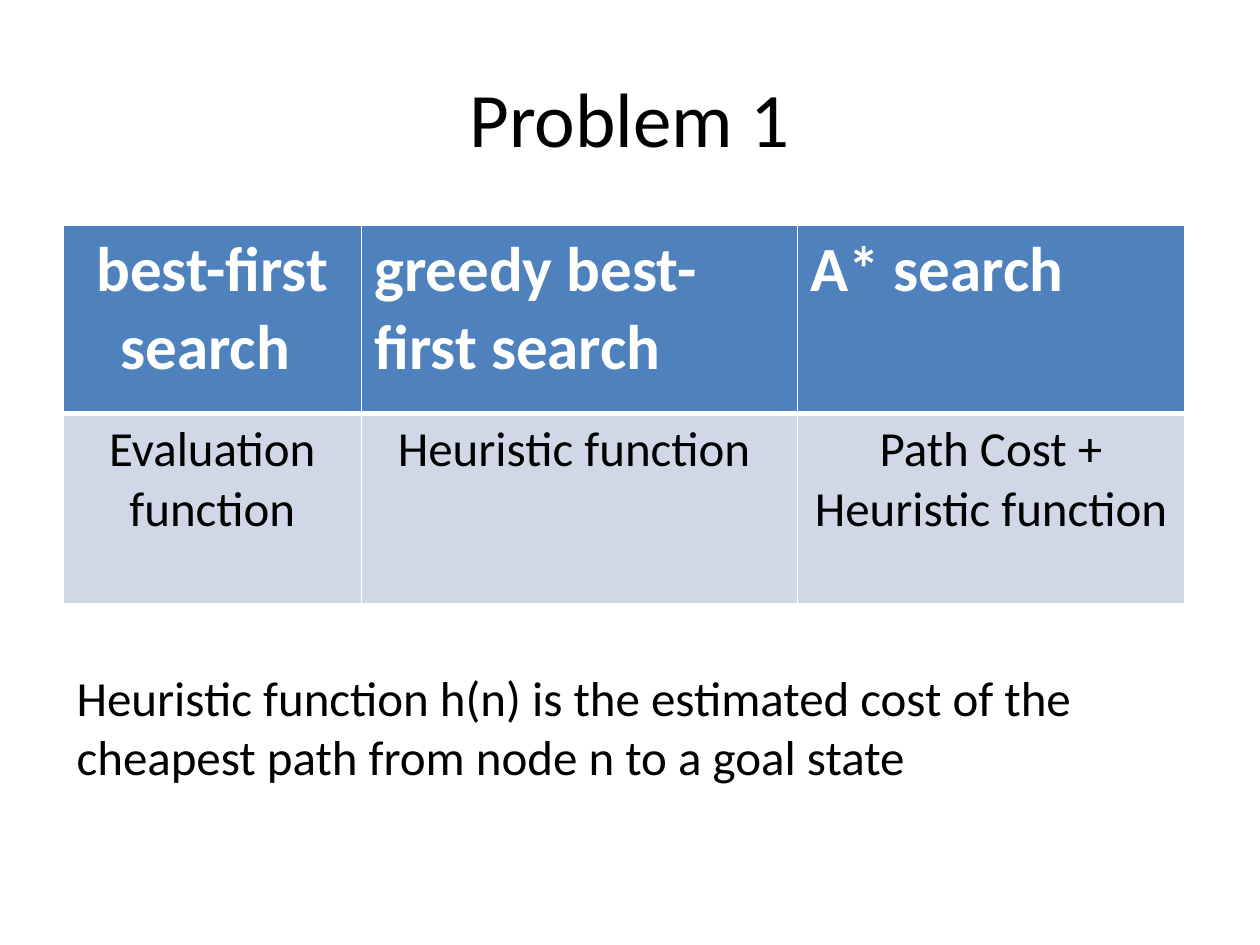
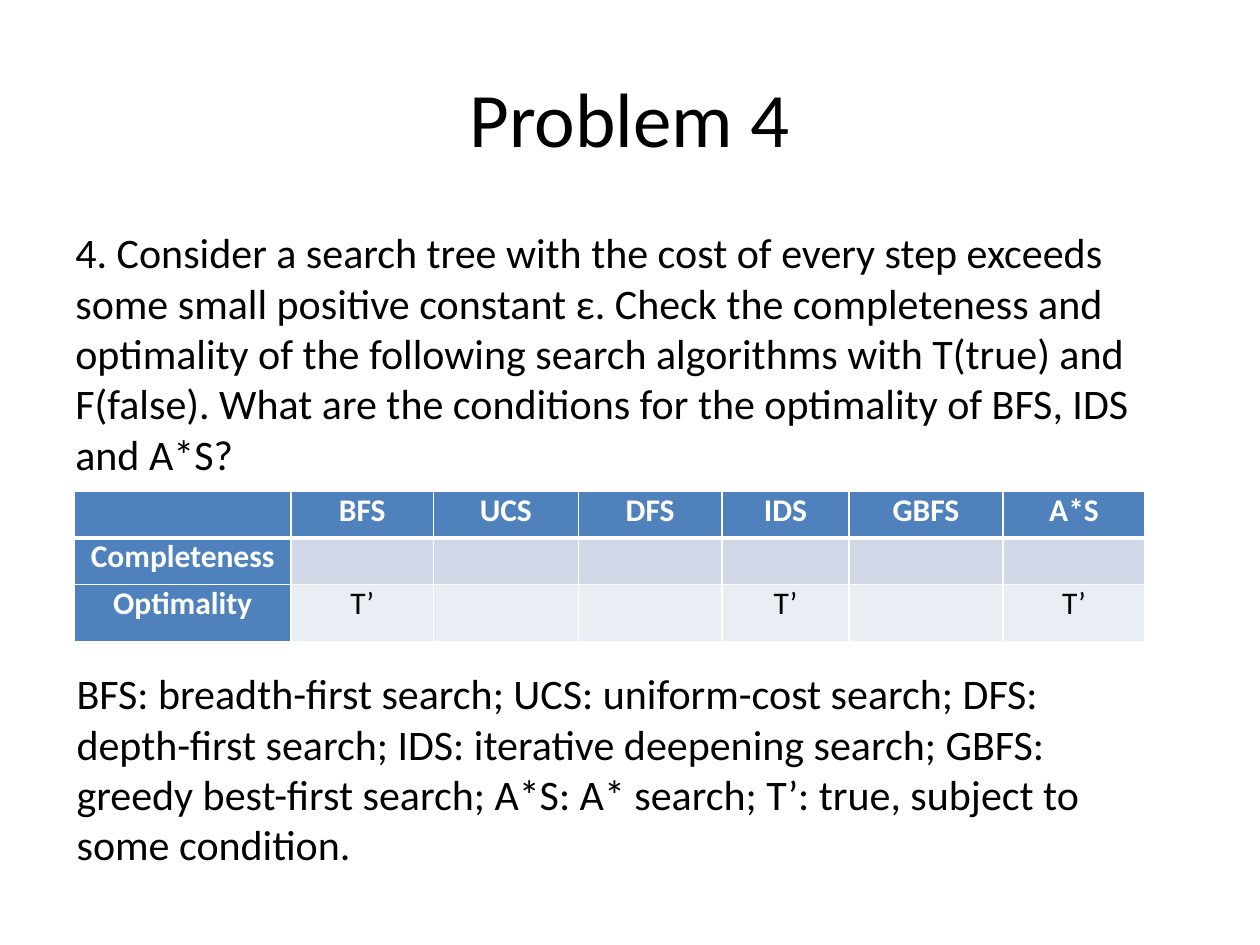
from dataclasses import dataclass

from lxml import etree
from pptx import Presentation
from pptx.dml.color import RGBColor
from pptx.enum import text as t
from pptx.oxml import ns
from pptx.util import Inches, Pt

FONT = "Calibri"
COLORS = {"ink": "000000", "white": "FFFFFF", "header": "4F81BD",
          "band1": "D0D8E8", "band2": "E9EDF4"}
LEFT, CENTER = t.PP_ALIGN.LEFT, t.PP_ALIGN.CENTER


@dataclass
class TextBlock:
    text: str
    left: float
    top: float
    width: float
    height: float
    size: int
    align: t.PP_ALIGN = LEFT
    anchor: t.MSO_ANCHOR = t.MSO_ANCHOR.TOP


@dataclass
class Grid:
    left: float
    top: float
    cols: list[float]
    rows: list[float]
    cells: list[list[str]]
    header_size: int
    body_size: int
    left_aligned: tuple = ()  # (row, column) pairs
    header_column: bool = False
    margins: tuple = (0.1, 0.05)  # sides, top and bottom
    space_before: int = 0


def rgb(name: str) -> RGBColor:
    return RGBColor.from_string(COLORS[name])


def write(tf, text: str, size: int, color: str = "ink", bold: bool = False,
          align: t.PP_ALIGN = LEFT, space_before: int = 0) -> None:
    p = tf.paragraphs[0]
    p.alignment = align
    if space_before:
        p.space_before = Pt(space_before)
    r = p.add_run()
    r.text = text
    for name, value in {"name": FONT, "size": Pt(size), "bold": bold}.items():
        setattr(r.font, name, value)
    r.font.color.rgb = rgb(color)


def add_text(slide, block: TextBlock) -> None:
    box = slide.shapes.add_textbox(*map(Inches, (block.left, block.top, block.width, block.height)))
    tf = box.text_frame
    tf.word_wrap = True
    tf.vertical_anchor = block.anchor
    write(tf, block.text, block.size, align=block.align)


def add_title(slide, text: str) -> None:
    add_text(slide, TextBlock(text, 0.5, 0.3, 9, 1.25, 44, CENTER, t.MSO_ANCHOR.MIDDLE))


def add_borders(cell, top: int, bottom: int) -> None:
    tc_pr = cell._tc.get_or_add_tcPr()
    for side, width in {"L": 1, "R": 1, "T": top, "B": bottom}.items():
        ln = etree.SubElement(tc_pr, ns.qn(f"a:ln{side}"), w=str(Pt(width)))
        fill = etree.SubElement(ln, ns.qn("a:solidFill"))
        etree.SubElement(fill, ns.qn("a:srgbClr"), val=COLORS["white"])


def add_grid(slide, grid: Grid) -> None:
    frame = slide.shapes.add_table(
        len(grid.rows), len(grid.cols), Inches(grid.left), Inches(grid.top),
        Inches(sum(grid.cols)), Inches(sum(grid.rows)))
    table = frame.table
    for column, width in zip(table.columns, grid.cols):
        column.width = Inches(width)
    for row, height in zip(table.rows, grid.rows):
        row.height = Inches(height)

    side, edge = map(Inches, grid.margins)
    margins = {"margin_left": side, "margin_right": side,
               "margin_top": edge, "margin_bottom": edge}
    for i, texts in enumerate(grid.cells):
        for j, text in enumerate(texts):
            cell = table.cell(i, j)
            for name, value in margins.items():
                setattr(cell, name, value)
            # A thick rule separates the header row from the body
            add_borders(cell, top=3 if i == 1 else 1, bottom=3 if i == 0 else 1)
            header = i == 0 or (grid.header_column and j == 0)
            cell.fill.solid()
            cell.fill.fore_color.rgb = rgb("header" if header else "band1" if i % 2 else "band2")
            if text:
                write(cell.text_frame, text,
                      grid.header_size if header else grid.body_size,
                      "white" if header else "ink", header,
                      LEFT if (i, j) in grid.left_aligned else CENTER, grid.space_before)


def add_search_functions(prs) -> None:
    slide = prs.slides.add_slide(prs.slide_layouts[6])
    add_title(slide, "Problem 1")
    add_grid(slide, Grid(
        0.5, 1.79, [2.37, 3.46, 3.07], [1.49, 1.51],
        [["best-first search ", "greedy best-first search", "A* search"],
         ["Evaluation function", "Heuristic function ", "Path Cost + Heuristic function "]],
        header_size=36, body_size=28, left_aligned=((0, 1), (0, 2))))
    add_text(slide, TextBlock(
        "Heuristic function h(n) is the estimated cost of the cheapest path "
        "from node n to a goal state", 0.51, 5.25, 8.91, 1.04, 28))


def add_search_properties(prs) -> None:
    slide = prs.slides.add_slide(prs.slide_layouts[6])
    add_title(slide, "Problem 4")
    add_text(slide, TextBlock(
        "4. Consider a search tree with the cost of every step exceeds some small "
        "positive constant ε. Check the completeness and optimality of the following "
        "search algorithms with T(true) and F(false). What are the conditions for the "
        "optimality of BFS, IDS and A*S?", 0.5, 1.75, 9, 4.95, 24))
    add_grid(slide, Grid(
        0.59, 3.9, [1.72, 1.13, 1.15, 1.14, 1.01, 1.22, 1.13], [0.37, 0.37, 0.45],
        [["", "BFS", "UCS", "DFS", "IDS", "GBFS", "A*S"],
         ["Completeness", "", "", "", "", "", ""],
         ["Optimality", "T’", "", "", "T’", "", "T’"]],
        header_size=18, body_size=18, header_column=True,
        margins=(0.07, 0), space_before=6))
    add_text(slide, TextBlock(
        "BFS: breadth-first search; UCS: uniform-cost search; DFS: depth-first search; "
        "IDS: iterative deepening search; GBFS: greedy best-first search; "
        "A*S: A* search; T’: true, subject to some condition.",
        0.51, 5.25, 8.74, 1.72, 24))


def main() -> None:
    prs = Presentation()
    prs.slide_width, prs.slide_height = Inches(10), Inches(7.5)
    add_search_functions(prs)
    add_search_properties(prs)
    prs.save("out.pptx")


if __name__ == "__main__":
    main()
